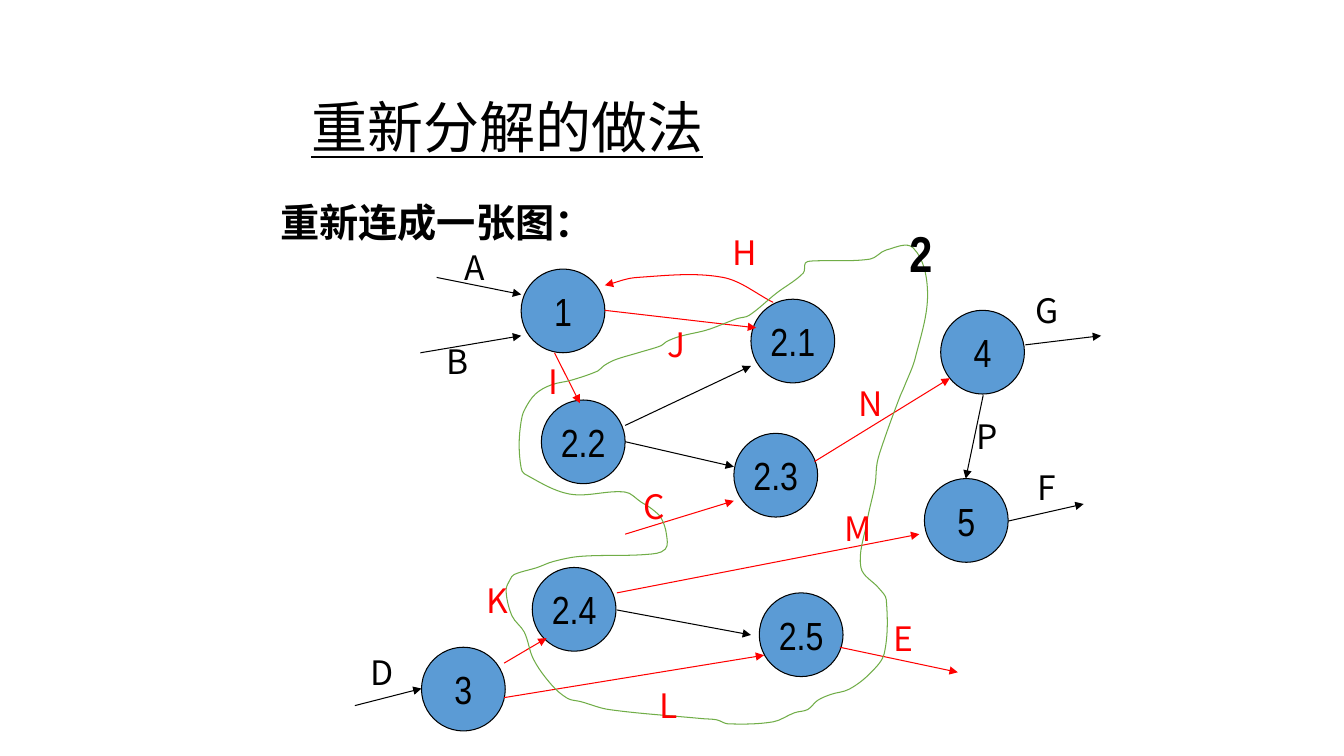
from dataclasses import dataclass
from math import dist

from lxml import etree
from pptx import Presentation
from pptx import util as u
from pptx.dml.color import RGBColor
from pptx.enum import shapes, text
from pptx.oxml import ns

COLOURS = {"ink": "000000", "new": "FF0000", "process": "5B9BD5", "boundary": "70AD47"}
SANS, NARROW = "Noto Sans CJK SC", "Arial Narrow"
DIAMETER = 0.83
LINE_WIDTH = u.Pt(0.75)
Point = tuple[float, float]


@dataclass
class Process:
    name: str
    left: float
    top: float


@dataclass
class Label:
    words: str
    left: float
    top: float
    colour: str = "ink"
    width: float = 0.42
    height: float = 0.51
    size: int = 24
    font: str = SANS
    bold: bool = False


@dataclass
class Flow:
    start: Point
    end: Point
    colour: str = "ink"


# Positions are in inches
PROCESSES = [
    Process("2.2", 5.37, 3.97), Process("2.3", 7.28, 4.3), Process("2.1", 7.45, 2.97),
    Process("2.4", 5.28, 5.63), Process("2.5", 7.53, 5.88), Process("1", 5.17, 2.67),
    Process("3", 4.18, 6.42), Process("4", 9.33, 3.08), Process("5", 9.17, 4.75),
]
FLOWS = [
    Flow((6.2, 4.22), (7.45, 3.63)),
    Flow((6.2, 4.38), (7.28, 4.63)),
    Flow((6.2, 5.3), (7.28, 4.97), "new"),
    Flow((6.12, 6.05), (7.45, 6.3)),
    Flow((6.12, 5.88), (9.12, 5.3), "new"),
    Flow((6, 3.08), (7.5, 3.25), "new"),
    Flow((5.5, 3.5), (5.75, 4), "new"),
    Flow((8.08, 4.58), (9.42, 3.75), "new"),
    Flow((9.75, 3.92), (9.58, 4.75)),
    Flow((10, 5.17), (10.75, 5)),
    Flow((3.52, 7), (4.18, 6.83)),
    Flow((5, 6.58), (5.42, 6.33), "new"),
    Flow((5, 6.92), (7.58, 6.5), "new"),
    Flow((8.33, 6.42), (9.5, 6.67), "new"),
    Flow((4.33, 2.75), (5.17, 2.92)),
    Flow((4.17, 3.5), (5.17, 3.33)),
    Flow((10.17, 3.42), (10.92, 3.33)),
]
LABELS = [
    Label("重新连成一张图：", 2.67, 1.92, width=3.33, height=0.57, size=28, font=NARROW, bold=True),
    Label("B", 4.33, 3.33), Label("J", 6.5, 3.17, "new"), Label("K", 4.72, 5.7, "new"),
    Label("C", 6.28, 4.77, "new"), Label("M", 8.28, 4.99, "new"), Label("L", 6.42, 6.75, "new"),
    Label("E", 8.75, 6.08, "new"), Label("H", 7.17, 2.25, "new"), Label("N", 8.42, 3.75, "new"),
    Label("I", 5.28, 3.53, "new"), Label("A", 4.5, 2.4), Label("P", 9.58, 4.08),
    Label("G", 10.17, 2.83), Label("F", 10.17, 4.58), Label("D", 3.58, 6.42),
    Label("2", 8.8, 2.15, width=0.67, height=0.7, size=36, font=NARROW, bold=True),
]
RETURN_FLOW = [(7.67, 3), (7.17, 2.75), (6.33, 2.75), (6, 2.83)]
BOUNDARY = [
    (7.99, 2.61), (7.97, 2.71), (7.7, 2.91), (7.43, 3.13), (7.31, 3.16), (7.02, 3.27),
    (6.74, 3.34), (6.61, 3.39), (6.56, 3.43), (6.33, 3.5), (6.1, 3.57), (5.99, 3.63),
    (5.93, 3.68), (5.67, 3.77), (5.47, 3.82), (5.31, 3.91), (5.2, 4.07), (5.17, 4.18),
    (5.15, 4.41), (5.17, 4.64), (5.2, 4.7), (5.65, 4.9), (6.2, 4.88), (6.36, 4.98),
    (6.47, 5.05), (6.56, 5.14), (6.61, 5.3), (6.6, 5.45), (6.42, 5.5), (5.76, 5.52),
    (5.49, 5.57), (5.33, 5.63), (5.1, 5.7), (5.06, 5.75), (5.02, 5.86), (5.08, 6.11),
    (5.2, 6.27), (5.29, 6.54), (5.47, 6.79), (5.63, 6.93), (5.76, 6.96), (6.04, 7.04),
    (6.97, 7.13), (7.11, 7.14), (7.22, 7.18), (7.67, 7.16), (7.88, 7.07), (8.01, 7.04),
    (8.11, 6.95), (8.24, 6.89), (8.42, 6.84), (8.63, 6.68), (8.77, 6.48), (8.79, 5.95),
    (8.72, 5.84), (8.54, 5.63), (8.6, 5.18), (8.68, 4.8), (8.7, 4.59), (8.77, 4.36),
    (8.92, 3.95), (8.97, 3.84), (9.08, 3.55), (9.2, 2.91), (9.06, 2.46), (8.79, 2.48),
    (8.63, 2.57), (8.04, 2.59),
]


def cm(inches: float) -> u.Cm:
    return u.Cm(round(inches * 2.54, 2))


def rgb(name: str) -> RGBColor:
    return RGBColor.from_string(COLOURS[name])


def add_span(para, words: str, size: int, font: str, colour: str = "ink", bold: bool = False):
    span = para.add_run()
    span.text = words
    span.font.size = u.Pt(size)
    span.font.name = font
    span.font.bold = bold
    span.font.color.rgb = rgb(colour)
    east_asian = etree.SubElement(span.font._element, ns.qn("a:ea"))
    east_asian.set("typeface", SANS)
    return span


def style_line(shape, colour: str, arrow: bool = False) -> None:
    shape.line.color.rgb = rgb(colour)
    shape.line.width = LINE_WIDTH
    if arrow:
        etree.SubElement(shape.line._get_or_add_ln(), ns.qn("a:tailEnd")).set("type", "triangle")


def add_process(page, process: Process) -> None:
    circle = page.shapes.add_shape(
        shapes.MSO_SHAPE.FLOWCHART_CONNECTOR,
        cm(process.left), cm(process.top), cm(DIAMETER), cm(DIAMETER))
    circle.shadow.inherit = False
    circle.fill.solid()
    circle.fill.fore_color.rgb = rgb("process")
    style_line(circle, "ink")
    frame = circle.text_frame
    frame.word_wrap = False
    frame.vertical_anchor = text.MSO_ANCHOR.MIDDLE
    para = frame.paragraphs[0]
    para.alignment = text.PP_ALIGN.CENTER
    add_span(para, process.name, 28, NARROW)


def add_flow(page, flow: Flow) -> None:
    arrow = page.shapes.add_connector(
        shapes.MSO_CONNECTOR.STRAIGHT, *map(cm, flow.start + flow.end))
    style_line(arrow, flow.colour, arrow=True)
    etree.SubElement(arrow._element.spPr, ns.qn("a:effectLst"))


def add_label(page, label: Label) -> None:
    box = page.shapes.add_textbox(*map(cm, (label.left, label.top, label.width, label.height)))
    frame = box.text_frame
    frame.word_wrap = True
    frame.auto_size = text.MSO_AUTO_SIZE.SHAPE_TO_FIT_TEXT
    para = frame.paragraphs[0]
    para.alignment = text.PP_ALIGN.CENTER
    add_span(para, label.words, label.size, label.font, label.colour, label.bold)


def handle(knot: Point, before: Point, after: Point, reach: float) -> Point:
    """Control point at a signed distance along the tangent of a knot."""
    scale = reach / dist(before, after)
    return tuple(k + (a - b) * scale for k, b, a in zip(knot, before, after))


def bend(curve, closed: bool) -> None:
    """Turn the straight segments of a freeform into smooth Bézier segments."""
    points = [(int(p.get("x")), int(p.get("y"))) for p in curve._element.iter(ns.qn("a:pt"))]
    ring = ([points[-2], *points, points[1]] if closed
            else [points[0], *points, points[-1]])
    segments = list(curve._element.iter(ns.qn("a:lnTo")))
    for segment, before, start, end, after in zip(segments, ring, ring[1:], ring[2:], ring[3:]):
        reach = dist(start, end) / 3
        bezier = etree.Element(ns.qn("a:cubicBezTo"))
        for x, y in (handle(start, before, end, reach), handle(end, start, after, -reach), end):
            etree.SubElement(bezier, ns.qn("a:pt"), x=str(round(x)), y=str(round(y)))
        segment.getparent().replace(segment, bezier)


def add_curve(page, knots: list[Point], colour: str, closed: bool) -> None:
    first, *rest = [(cm(x), cm(y)) for x, y in knots]
    builder = page.shapes.build_freeform(*first)
    builder.add_line_segments([*rest, first] if closed else rest, close=closed)
    curve = builder.convert_to_shape()
    bend(curve, closed)
    curve.shadow.inherit = False
    curve.fill.background()
    style_line(curve, colour, arrow=not closed)


def add_title(page) -> None:
    title = page.shapes.title
    title.left, title.top, title.width, title.height = map(cm, (2.99, 0.67, 7.9, 1.25))
    frame = title.text_frame
    frame.auto_size = text.MSO_AUTO_SIZE.NONE
    frame.vertical_anchor = text.MSO_ANCHOR.MIDDLE
    para = frame.paragraphs[0]
    para.alignment = text.PP_ALIGN.LEFT
    para.line_spacing = 0.9
    add_span(para, "重新分解的做法", 40, SANS).font.underline = True


def main() -> None:
    deck = Presentation()
    deck.slide_width, deck.slide_height = cm(13.33), cm(7.5)
    page = deck.slides.add_slide(deck.slide_layouts[5])
    add_title(page)
    # Data flow diagram
    for process in PROCESSES:
        add_process(page, process)
    for flow in FLOWS:
        add_flow(page, flow)
    add_curve(page, RETURN_FLOW, "new", closed=False)
    # Boundary of the decomposed process 2
    add_curve(page, BOUNDARY, "boundary", closed=True)
    for label in LABELS:
        add_label(page, label)
    deck.save("out.pptx")


if __name__ == "__main__":
    main()
